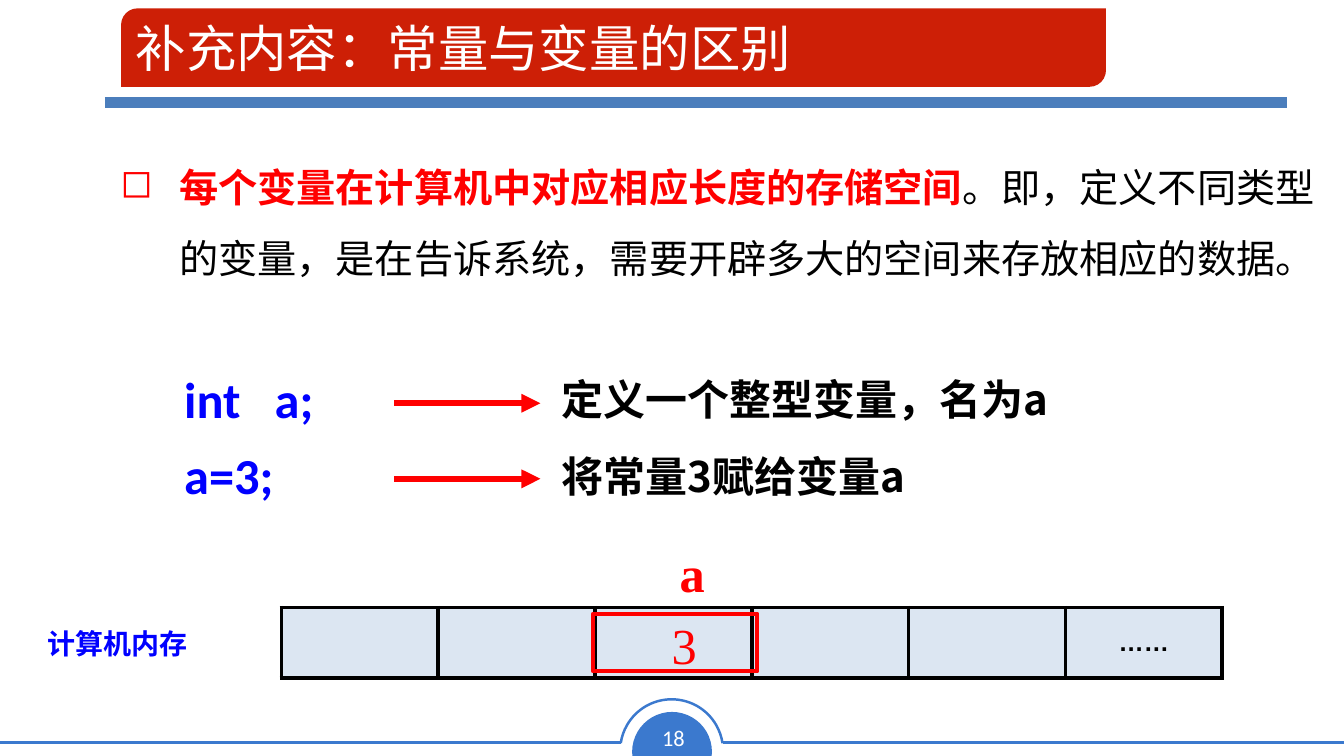
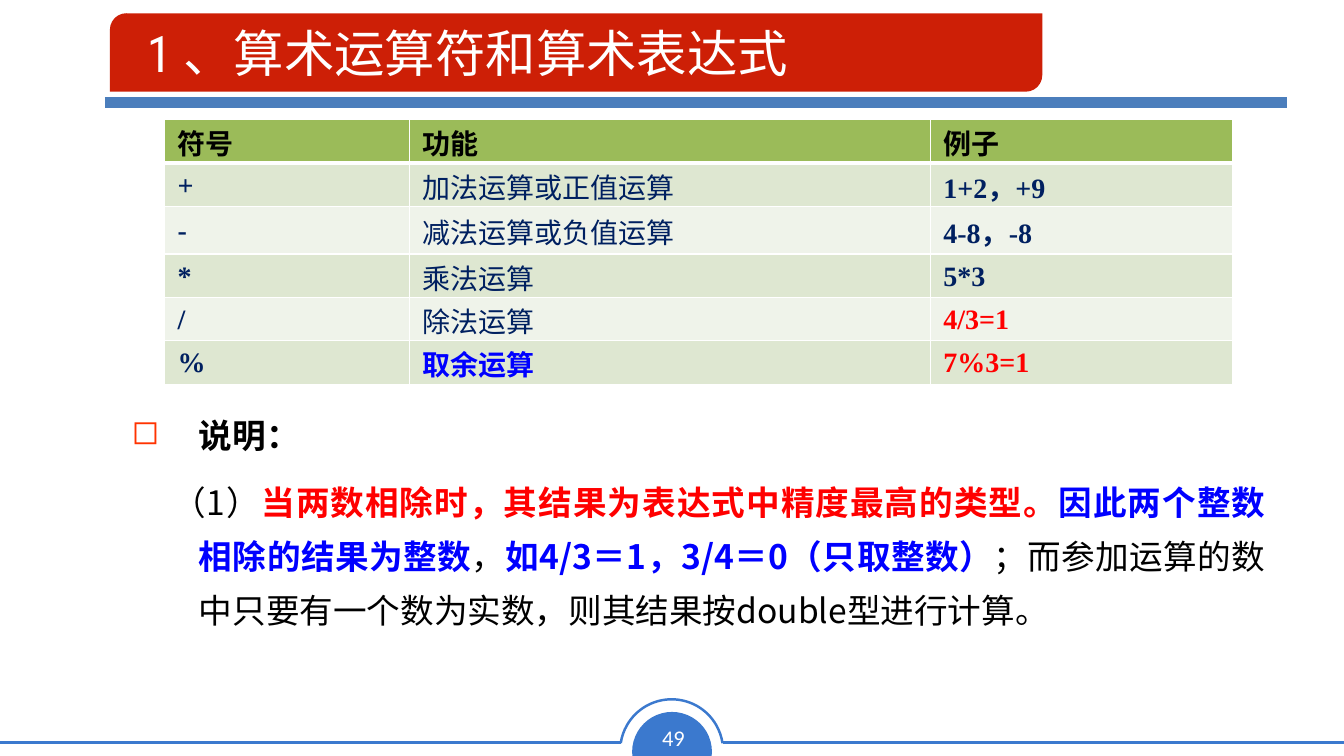
import dataclasses
import typing

import pptx
import pptx.dml.color
import pptx.enum.shapes
import pptx.enum.text
import pptx.oxml.ns
import pptx.util

Pt = pptx.util.Pt
Kind = pptx.enum.shapes.MSO_SHAPE
Align = pptx.enum.text.PP_ALIGN
Anchor = pptx.enum.text.MSO_ANCHOR
qn = pptx.oxml.ns.qn

HUES = {
    "white": "FFFFFF",
    "black": "000000",
    "red": "FF0000",
    "blue": "0000FF",
    "navy": "002060",
    "brick": "CD1F06",
    "rule": "4B7EBC",
    "foot": "3B79CE",
    "mark": "FF3300",
    "pale": "DCE6F2",
    "head": "9BBB59",
    "odd": "DEE7D1",
    "even": "EFF3EA",
}
HAN = "Noto Sans CJK SC"
LATIN = "Calibri"
SERIF = "Times New Roman"


class Area(typing.NamedTuple):
    left: float
    top: float
    width: float
    height: float


@dataclasses.dataclass(frozen=True)
class Run:
    text: str
    color: str = "black"
    bold: bool = False
    face: str = HAN


@dataclasses.dataclass(frozen=True)
class Step:
    y: float
    top: float
    text: str


def shade(name: str) -> pptx.dml.color.RGBColor:
    return pptx.dml.color.RGBColor.from_string(HUES[name])


def add(node, tag: str, **attrs: str):
    child = node.makeelement(qn(tag), attrs)
    node.append(child)
    return child


def tint(node, name: str) -> None:
    add(add(node, "a:solidFill"), "a:srgbClr", val=HUES[name])


def write(para, text: str, *, size: float, face: str = HAN,
          color: str = "black", bold: bool = False, align=None,
          lead: float | None = None, before: float | None = None) -> None:
    run = para.add_run()
    run.text = text
    font = run.font
    font.size, font.name, font.bold = Pt(size), face, bold
    font.color.rgb = shade(color)
    add(font._element, "a:ea", typeface=HAN)
    if align is not None:
        para.alignment = align
    if lead is not None:
        para.line_spacing = Pt(lead)
    if before is not None:
        para.space_before = Pt(before)


def indent(para, left: float, first: float, mark: str = "",
           color: str = "") -> None:
    props = para._element.get_or_add_pPr()
    props.set("marL", str(Pt(left)))
    props.set("indent", str(Pt(first)))
    if color:
        add(add(props, "a:buClr"), "a:srgbClr", val=HUES[color])
    if mark:
        add(props, "a:buChar", char=mark)


def box(slide, area: Area, wrap: bool = True):
    frame = slide.shapes.add_textbox(*map(Pt, area)).text_frame
    frame.word_wrap = wrap
    return frame


def shape(slide, kind, area: Area, fill: str = "", line: str = "",
          width: float = 1, bends: tuple[float, ...] = ()):
    item = slide.shapes.add_shape(kind, *map(Pt, area))
    item.shadow.inherit = False
    for spot, bend in enumerate(bends):
        item.adjustments[spot] = bend
    if fill:
        item.fill.solid()
        item.fill.fore_color.rgb = shade(fill)
    else:
        item.fill.background()
    if line:
        item.line.color.rgb = shade(line)
        item.line.width = Pt(width)
    else:
        item.line.fill.background()
    return item


def rule(slide, left: float, right: float, y: float, color: str,
         width: float, arrow: bool = False) -> None:
    kind = pptx.enum.shapes.MSO_CONNECTOR.STRAIGHT
    line = slide.shapes.add_connector(kind, Pt(left), Pt(y), Pt(right), Pt(y))
    line.line.color.rgb = shade(color)
    line.line.width = Pt(width)
    props = line._element.spPr
    if arrow:
        add(props.find(qn("a:ln")), "a:tailEnd", type="triangle")
    add(props, "a:effectLst")


def edge(cell, color: str, **widths: float) -> None:
    props = cell._tc.get_or_add_tcPr()
    for side in ("L", "R", "T", "B"):
        width = widths.get(side, widths["all"])
        tint(add(props, f"a:ln{side}", w=str(Pt(width))), color)


def paint(cell, color: str) -> None:
    cell.fill.solid()
    cell.fill.fore_color.rgb = shade(color)
    cell.vertical_anchor = Anchor.MIDDLE
    cell.margin_left = cell.margin_right = Pt(9.36)
    cell.margin_top = cell.margin_bottom = Pt(3.6)


def grid(slide, area: Area, cols: list[float], rows: list[float]):
    table = slide.shapes.add_table(len(rows), len(cols), *map(Pt, area)).table
    table.first_row = table.horz_banding = False
    for col, width in zip(table.columns, cols):
        col.width = Pt(width)
    for row, height in zip(table.rows, rows):
        row.height = Pt(height)
    return table


def start(deck, title: str, area: Area, page: str, inset: float = 7.2,
          face: str = HAN):
    slide = deck.slides.add_slide(deck.slide_layouts[6])
    dome = shape(slide, Kind.CHORD, Area(451.5, 508.5, 57, 57), "foot",
                 bends=(35.77, 153.29))
    dome.rotation = 112.4
    for left, right in ((516.5, 960), (0, 443.5)):
        rule(slide, left, right, 530.5, "foot", 1.77)
    shape(slide, Kind.ARC, Area(443, 499.5, 73.5, 73.5), line="foot",
          width=1.77, bends=(113.17, 210.98))
    frame = box(slide, Area(464.5, 514, 33, 26), wrap=False)
    write(frame.paragraphs[0], page, size=16, face=LATIN, color="white",
          align=Align.CENTER)
    rule(slide, 75, 919, 73.5, "rule", 8)
    band = shape(slide, Kind.ROUND_2_DIAG_RECTANGLE, area, "brick",
                 bends=(0.21, 0))
    frame = band.text_frame
    frame.word_wrap = True
    frame.vertical_anchor = Anchor.MIDDLE
    frame.margin_left = Pt(inset)
    write(frame.paragraphs[0], title, size=36, face=face, color="white",
          align=Align.LEFT)
    return slide


def store(deck) -> None:
    slide = start(deck, "补充内容：常量与变量的区别",
                  Area(86.5, 6, 703.5, 56), "18")
    para = box(slide, Area(79, 95.5, 881, 396)).paragraphs[0]
    indent(para, 42, -42, "◻")
    for run in (
        Run("每个变量在计算机中对应相应长度的存储空间", "red", True),
        Run("。即，定义不同类型的变量，是在告诉系统，"
            "需要开辟多大的空间来存放相应的数据。"),
    ):
        write(para, run.text, size=28, color=run.color, bold=run.bold, lead=51)

    frame = box(slide, Area(124.5, 259.5, 166, 106))
    code = dict(size=36, face=LATIN, color="blue", bold=True)
    write(frame.paragraphs[0], "int   a;", **code)
    write(frame.add_paragraph(), "a=3;", before=10.8, **code)
    for step in (Step(288, 263, "定义一个整型变量，名为a"),
                 Step(342, 318, "将常量3赋给变量a")):
        rule(slide, 281.5, 386, step.y, "red", 4.5, arrow=True)
        frame = box(slide, Area(394, step.top, 560, 43))
        write(frame.paragraphs[0], step.text, size=30, bold=True)

    count, width = 6, 112
    table = grid(slide, Area(201, 434, count * width, 50.4),
                 [width] * count, [50.4])
    for cell in table.iter_cells():
        edge(cell, "black", all=3)
        paint(cell, "pale")
    write(table.cell(0, count - 1).text_frame.paragraphs[0], "……", size=18,
          face="Arial", bold=True, align=Align.CENTER)

    for text, area, bold in (("3", Area(429, 435, 119.5, 51), False),
                             ("a", Area(435, 384, 119, 51), True)):
        write(box(slide, area).paragraphs[0], text, size=36, face=SERIF,
              color="red", bold=bold, align=Align.CENTER)
    shape(slide, Kind.RECTANGLE, Area(423.5, 438.5, 117.5, 41), line="red",
          width=3)
    frame = box(slide, Area(26.5, 444, 178, 32))
    write(frame.paragraphs[0], "计算机内存", size=20, color="blue", bold=True)


def signs(deck) -> None:
    slide = start(deck, "1 、算术运算符和算术表达式",
                  Area(78.5, 9.5, 666, 56), "49", 23, "Roboto Condensed")
    frame = box(slide, Area(87, 283, 824, 229))
    para = frame.paragraphs[0]
    indent(para, 48, -48, "◻", "mark")
    write(para, "说明：", size=24, bold=True, lead=38.5)
    para = frame.add_paragraph()
    indent(para, 48, -19)
    for run in (
        Run("（1）"),
        Run("当两数相除时，其结果为表达式中精度最高的类型。", "red", True),
        Run("因此两个整数相除的结果为整数", "blue", True),
        Run("，"),
        Run("如4/3＝1，3/4＝0（只取整数）", "blue", True),
        Run("；而参加运算的数中只要有一个数为实数，"
            "则其结果按double型进行计算。"),
    ):
        write(para, run.text, size=24, color=run.color, bold=run.bold,
              align=Align.JUSTIFY, lead=38.5, before=9.5)

    def sign(text: str, color: str = "navy") -> Run:
        return Run(text, color, True, SERIF)

    rows = [
        [Run(text, bold=True) for text in ("符号", "功能", "例子")],
        [sign("+"), Run("加法运算或正值运算", "navy"), sign("1+2，+9")],
        [sign("-"), Run("减法运算或负值运算", "navy"), sign("4-8，-8")],
        [sign("*"), Run("乘法运算", "navy"), sign("5*3")],
        [sign("/"), Run("除法运算", "navy"), sign("4/3=1", "red")],
        [sign("%"), Run("取余运算", "blue", True), sign("7%3=1", "red")],
    ]
    table = grid(slide, Area(117.5, 85.5, 763, 189), [175, 372, 216],
                 [31, 31, 34, 31, 31, 31])
    for y, row in enumerate(rows):
        fill = "head" if y == 0 else "odd" if y % 2 else "even"
        for x, run in enumerate(row):
            cell = table.cell(y, x)
            edge(cell, "white", all=1, T=3 if y == 1 else 1,
                 B=3 if y == 0 else 1)
            paint(cell, fill)
            if not run.text.isascii():
                cell.margin_top, cell.margin_bottom = Pt(7.2), Pt(0)
            write(cell.text_frame.paragraphs[0], run.text, size=20,
                  face=run.face, color=run.color, bold=run.bold, lead=23.5)


def main() -> None:
    deck = pptx.Presentation()
    deck.slide_width, deck.slide_height = Pt(960), Pt(540)
    store(deck)
    signs(deck)
    deck.save("out.pptx")


if __name__ == "__main__":
    main()
